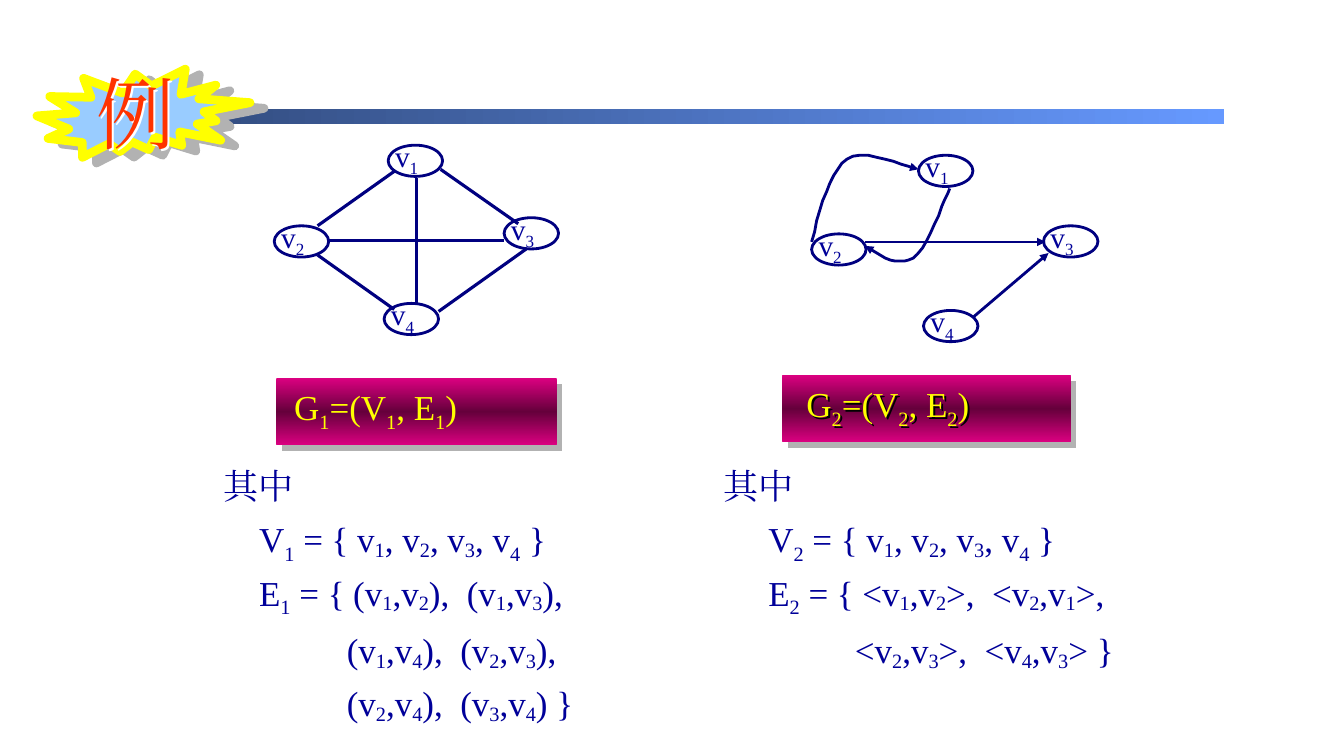
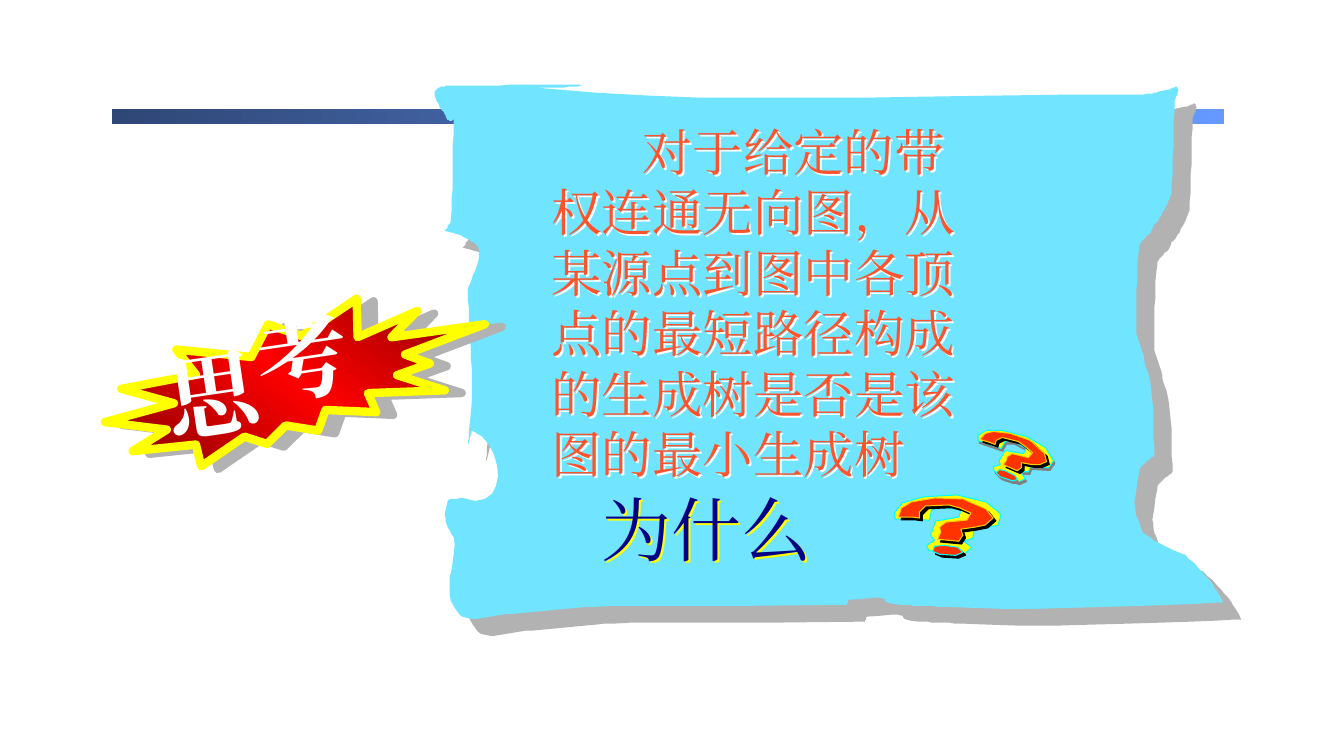
from itertools import groupby
from math import cos, radians, sin

from lxml.etree import SubElement
from pptx import Presentation
from pptx.dml.color import RGBColor
from pptx.enum.shapes import MSO_CONNECTOR as Link, MSO_SHAPE as Kind
from pptx.enum.text import MSO_ANCHOR as Anchor, MSO_AUTO_SIZE as Fit, PP_ALIGN as Align
from pptx.oxml.ns import qn
from pptx.util import Pt

PX = 9144  # EMU in one px, a hundredth of an inch
FACE = "Times New Roman"
NAVY, INK, RED = "000080", "000099", "FF3300"
YELLOW, CYAN, GRAY, WHITE = "FFFF00", "00FFFF", "B2B2B2", "FFFFFF"
BAR = ([(0, "2F4776"), (100, "6699FF")], 0)
PANEL = ([(0, "DC0081"), (50, "65003B"), (100, "DC0081")], 90)
FLAME = ([(0, "760000"), (50, "FF0000"), (100, "760000")], 315)
NODE_W, NODE_H = 54, 31


def color(code):
    return RGBColor.from_string(code)


def points(text):
    """Read "x,y x,y ..." as a list of number pairs."""
    return [tuple(map(int, pair.split(","))) for pair in text.split()]


def curve(knots, steps=10):
    """Sample a chain of cubic Bezier curves: a start, then three points each."""
    out = [knots[0]]
    for i in range(0, len(knots) - 1, 3):
        quad = knots[i:i + 4]
        for n in range(1, steps + 1):
            t = n / steps
            u = 1 - t
            parts = (u ** 3, 3 * u * u * t, 3 * u * t * t, t ** 3)
            out.append(tuple(sum(p * q[k] for p, q in zip(parts, quad)) for k in (0, 1)))
    return out


def place(dots, mid, wide, high, turn):
    """Scale and turn dots about the origin, then move them to mid."""
    c, s = cos(radians(turn)), sin(radians(turn))
    return [(mid[0] + x * wide * c - y * high * s,
             mid[1] + x * wide * s + y * high * c) for x, y in dots]


class Deck:
    """The style and the current slide."""

    def __init__(self):
        self.show = Presentation()
        self.show.slide_width, self.show.slide_height = 1333 * PX, 750 * PX
        self.slide = None

    def page(self, layout):
        self.slide = self.show.slides.add_slide(self.show.slide_layouts[layout])

    def to_master(self, shape):
        self.show.slide_master.shapes._spTree.append(shape._element)

    def paint(self, shape, fill=None, line=None, shade=None):
        """fill: hex or (stops, angle); line: (hex, pt); shade: (hex, pt, angle)."""
        props = shape._element.spPr
        if fill is None:
            shape.fill.background()
        elif isinstance(fill, str):
            shape.fill.solid()
            shape.fill.fore_color.rgb = color(fill)
        else:
            stops, angle = fill
            grad = SubElement(props, qn("a:gradFill"), rotWithShape="1")
            group = SubElement(grad, qn("a:gsLst"))
            for pos, code in stops:
                stop = SubElement(group, qn("a:gs"), pos=str(pos * 1000))
                SubElement(stop, qn("a:srgbClr"), val=code)
            SubElement(grad, qn("a:lin"), ang=str(angle * 60000), scaled="0")
        self.stroke(shape, line)
        self.shade(shape, shade)
        return shape

    def stroke(self, shape, line, head=False, tail=False):
        if line is None:
            shape.line.fill.background()
            return
        shape.line.color.rgb = color(line[0])
        shape.line.width = Pt(line[1])
        for end, wanted in (("a:headEnd", head), ("a:tailEnd", tail)):
            if wanted:
                SubElement(shape.line._get_or_add_ln(), qn(end), type="triangle")

    def shade(self, shape, shade=None):
        effects = SubElement(shape._element.spPr, qn("a:effectLst"))
        if shade:
            code, dist, angle = shade
            drop = SubElement(effects, qn("a:outerShdw"), blurRad="0", dist=str(int(Pt(dist))),
                              dir=str(angle * 60000), algn="ctr", rotWithShape="0")
            SubElement(drop, qn("a:srgbClr"), val=code)

    def shape(self, kind, box, turn=0, **style):
        shape = self.slide.shapes.add_shape(kind, *(n * PX for n in box))
        shape.rotation = turn
        return self.paint(shape, **style)

    def outline(self, dots, closed=True):
        pen = self.slide.shapes.build_freeform(*dots[0], scale=PX)
        pen.add_line_segments(dots[1:], close=closed)
        return pen.convert_to_shape()

    def arc(self, knots, **ends):
        shape = self.outline(curve(knots), closed=False)
        shape.fill.background()
        self.stroke(shape, (NAVY, 2), **ends)
        self.shade(shape)

    def edge(self, x1, y1, x2, y2, width=2.25, **ends):
        link = self.slide.shapes.add_connector(
            Link.STRAIGHT, *(n * PX for n in (x1, y1, x2, y2)))
        self.stroke(link, (NAVY, width), **ends)
        self.shade(link)

    def text(self, box, rows, size, code, holder=None, turn=0, bold=False,
             align=Align.LEFT, anchor=Anchor.TOP, shade=None, pitch=1.0):
        """rows: (left indent, first line indent, text); holder: placeholder index."""
        if holder is None:
            shape = self.slide.shapes.add_textbox(0, 0, PX, PX)
        else:
            shape = self.slide.placeholders[holder]
            self.slide.shapes._spTree.append(shape._element)
        shape.left, shape.top, shape.width, shape.height = (n * PX for n in box)
        shape.rotation = turn
        self.shade(shape, shade)
        frame = shape.text_frame
        frame.word_wrap, frame.auto_size = True, Fit.NONE
        frame.vertical_anchor = anchor
        for i, (left, first, words) in enumerate(rows):
            para = frame.add_paragraph() if i else frame.paragraphs[0]
            para.alignment, para.line_spacing = align, pitch
            para.space_before = Pt(0)
            para.space_after = Pt(4 if i == 0 and len(rows) > 1 else 0)
            props = para._p.get_or_add_pPr()
            props.set("marL", str(left * PX))
            props.set("indent", str(first * PX))
            SubElement(props, qn("a:buNone"))
            font = para.font
            font.size, font.bold, font.name = Pt(size), bold, FACE
            font.color.rgb = color(code)
            SubElement(font._rPr, qn("a:ea"), typeface=FACE)
            self.runs(para, words)

    def runs(self, para, words):
        """Set every digit as a subscript, lower after capitals and before gaps."""
        parts = ["".join(group) for _, group in groupby(words, str.isdigit)]
        for i, part in enumerate(parts):
            run = para.add_run()
            run.text = part
            if part.isdigit():
                after = parts[i + 1][0] if i + 1 < len(parts) else " "
                low = parts[i - 1][-1].isupper() or after == " "
                run._r.get_or_add_rPr().set("baseline", "-25000" if low else "-14000")

    def line(self, box, words, size, code, **style):
        self.text(box, [(0, 0, words)], size, code, **style)

    def nodes(self, spots):
        for n, (x, y) in enumerate(spots, 1):
            self.shape(Kind.OVAL, (x, y, NODE_W, NODE_H), line=(NAVY, 2))
            self.line((x - 3, y - 12, 60, 45), f"v{n}", 21, INK)

    def panel(self, box, inset, words, shade=None):
        x, y, w, h = box
        self.shape(Kind.RECTANGLE, box, fill=PANEL, shade=(GRAY, 5.7, 45))
        self.line((x + inset, y - 2, w - inset, h), words, 25, YELLOW,
                  anchor=Anchor.MIDDLE, shade=shade)

    def column(self, holder, x, rows):
        self.text((x, 445, 440, 280), [(left, 0, words) for left, words in rows],
                  25, INK, holder=holder, pitch=Pt(38))

    def seal(self, box, turn, fill, width, shade):
        self.shape(Kind.EXPLOSION2, box, turn, fill=fill, line=(YELLOW, width), shade=shade)

    def mark(self, mid, wide, high, turn, back=None, dot=None):
        """Draw a question mark: a back plate, a hook and a dot."""
        black = ("000000", 2.8, 45)
        for dots, fill, edge, shade in ((PLATE, YELLOW, CYAN, back),
                                        (HOOK, RED, "FFCC00", black),
                                        (DOT, RED, CYAN, dot or black)):
            shape = self.outline(place(dots, mid, wide, high, turn))
            self.paint(shape, fill, (edge, 0.75), shade)


PLATE = points(
    "-16,-15 -6,-18 13,-15 11,-8 -12,-4 -17,10 -13,15 -21,20 -19,25 -4,29 17,28 24,22 "
    "16,16 25,13 26,5 50,0 53,-11 38,-23 9,-30 -25,-28 -45,-22 -53,-12 -52,-6 -18,-5")
HOOK = points(
    "-49,-8 -35,-8 -28,-7 -28,-13 -22,-19 1,-20 12,-17 23,-12 19,-5 -2,-3 -8,2 -7,7 "
    "-10,14 11,16 15,10 13,4 27,2 37,0 45,-7 38,-16 15,-26 -13,-27 -36,-23 -46,-17")
DOT = points("-4,20 -13,21 -15,26 -8,29 8,30 15,27 10,22")
PAPER_LEFT = points(
    "450,111 449,147 450,183 447,219 446,223 441,229 441,229 456,232 462,236 473,243 "
    "480,258 469,271 464,286 465,319 468,352 468,385 468,430 459,459 468,427 "
    "504,441 504,511 459,494 454,495 445,494 444,497 438,514 443,521 450,533 "
    "454,559 434,588 456,610 465,619 491,609 509,609")
PAPER_BASE = points(
    "644,597 483,604 840,600 841,598 840,595 843,595 899,590 861,597 893,600 "
    "908,601 923,601 938,602 1011,608 1205,598 1213,598")
PAPER_RIGHT = points(
    "1205,581 1196,570 1180,555 1178,554 1177,551 1174,550 "
    "1156,543 1146,538 1133,528 1124,504 1123,506 1130,468 1130,462 1141,456 1145,451 "
    "1143,427 1147,389 1136,363 1134,350 1131,342 1127,331 1128,302 1126,273 1130,245 "
    "1130,240 1141,231 1141,231 1148,213 1140,232 1150,216 1156,208 1158,200 1162,192 "
    "1163,161 1164,131 1165,101 1166,96 1170,92 1168,87")
PAPER_TOP = points(
    "1167,85 1162,88 1159,89 1136,94 1153,91 1133,94 841,93 738,106 532,87 "
    "547,87 562,87 577,85 580,85 571,84 568,84 527,84 485,85 444,85 441,86 437,86 435,87 "
    "425,93 438,107 441,113 442,115 443,120 447,120 452,119 449,114 450,111")
PAPER = PAPER_LEFT + PAPER_BASE + PAPER_RIGHT + PAPER_TOP


def example(deck):
    deck.page(3)
    deck.to_master(deck.shape(Kind.RECTANGLE, (111, 108, 1103, 15), fill=BAR))
    deck.seal((37, 66, 210, 94), 3.8, "99CCFF", 6.25, (GRAY, 10.8, 22))
    deck.line((75, 60, 119, 104), "例", 56, RED, holder=0,
              align=Align.CENTER, shade=(WHITE, 2, 45))

    deck.nodes([(385, 144), (272, 224), (500, 216), (381, 301)])
    for ends in ((315, 224, 391, 170), (326, 239, 500, 239), (413, 177, 413, 301),
                 (437, 168, 514, 222), (435, 309, 522, 247), (315, 253, 391, 307)):
        deck.edge(*ends)
    deck.panel((274, 375, 278, 67), 8, "G1=(V1, E1)")
    deck.column(1, 205, [
        (7, "其中"),
        (42, "V1 = { v1, v2, v3, v4 }"),
        (42, "E1 = { (v1,v2),  (v1,v3),"),
        (129, "(v1,v4),  (v2,v3),"),
        (129, "(v2,v4),  (v3,v4) }")])

    deck.nodes([(911, 154), (805, 232), (1035, 224), (916, 308)])
    for ends in ((858, 240, 1037, 240), (966, 314, 1040, 251)):
        deck.edge(*ends, width=2, tail=True)
    deck.arc(points("805,240 814,205 823,170 840,158 858,146 899,166 911,168"), tail=True)
    deck.arc(points("858,244 875,255 891,265 906,256 920,246 936,199 942,187"), head=True)
    deck.panel((776, 372, 286, 67), 14, "G2=(V2, E2)", shade=("000000", 2, 45))
    deck.column(2, 708, [
        (0, "其中"),
        (44, "V2 = { v1, v2, v3, v4 }"),
        (44, "E2 = { <v1,v2>,  <v2,v1>,"),
        (130, "<v2,v3>,  <v4,v3> }")])


def puzzle(deck):
    deck.page(1)
    deck.paint(deck.outline(curve(PAPER)), "71E4FF", shade=(GRAY, 17.7, 43))
    deck.text((537, 115, 430, 374),
              [(0, 90, "对于给定的带权连通无向图，从某源点到图中各顶点的最短路径构成"
                       "的生成树是否是该图的最小生成树")],
              36, "FF532B", holder=1, shade=(WHITE, 2, 45))
    gray = ("808080", 2.2, 63)
    deck.mark((1005, 453), 0.74, 0.78, 17.7, back=gray, dot=gray)
    tilt = 351.6
    deck.seal((100, 306, 387, 142), tilt, FLAME, 6, (GRAY, 12.2, 9))
    deck.line((153, 310, 378, 120), "思", 66, WHITE, turn=tilt, bold=True)
    deck.line((244, 288, 178, 120), "考", 66, WHITE, turn=tilt, bold=True)
    deck.line((587, 478, 357, 93), "为什么", 50, "000084", holder=0, shade=(YELLOW, 2, 45))
    deck.mark((940, 521), 1, 1, 0)


def main():
    deck = Deck()
    example(deck)
    puzzle(deck)
    deck.show.save("out.pptx")


if __name__ == "__main__":
    main()
